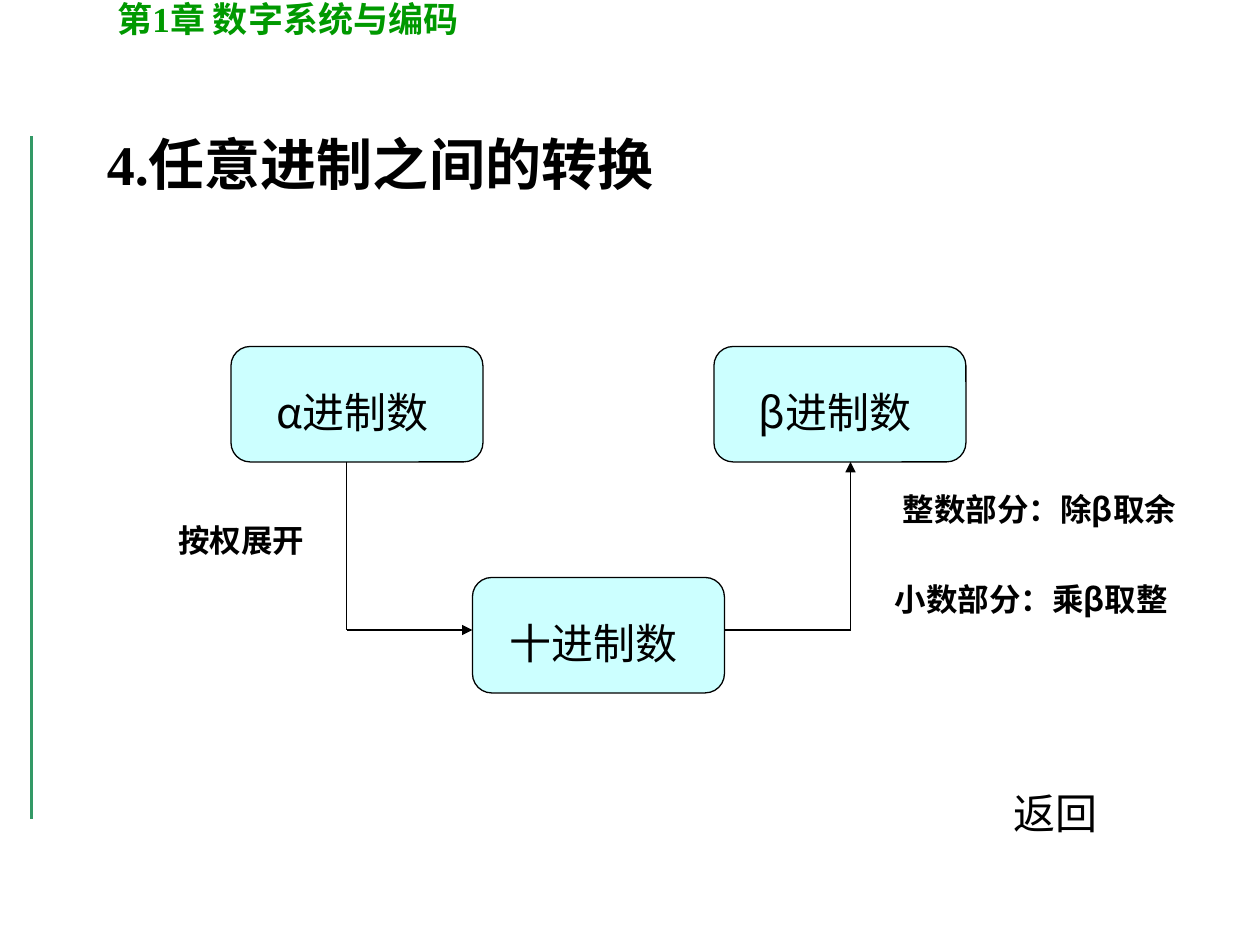
from pptx import Presentation
from pptx.dml.color import RGBColor
from pptx.enum.shapes import MSO_CONNECTOR, MSO_SHAPE
from pptx.enum.text import MSO_ANCHOR, PP_ALIGN
from pptx.oxml.ns import qn
from pptx.util import Emu, Pt
from lxml.etree import SubElement

PX = 9525  # EMU per px, 96 px to the inch
SERIF, SANS = "Times New Roman", "Noto Sans CJK SC"
BLACK, GREEN, RULE, CYAN = "000000", "009900", "339966", "CCFFFF"
BOX_W, BOX_H = 192, 88


def px(*lengths):
    return [Emu(n * PX) for n in lengths]


def rgb(value):
    return RGBColor.from_string(value)


def add_run(p, text, size, font=SERIF, color=BLACK, bold=False):
    r = p.add_run()
    r.text = text
    r.font.size, r.font.name, r.font.bold = Pt(size), font, bold
    r.font.color.rgb = rgb(color)
    SubElement(r.font._element, qn("a:ea")).set("typeface", SANS)


def format_paragraph(p, before, align=PP_ALIGN.CENTER, spacing=1.3):
    p.alignment, p.line_spacing, p.space_before = align, spacing, Pt(before)
    return p


def add_text(s, x, y, w, h, anchor=MSO_ANCHOR.TOP):
    tf = s.shapes.add_textbox(*px(x, y, w, h)).text_frame
    tf.word_wrap, tf.vertical_anchor = True, anchor
    return tf


def add_heading(s, text, size, color, before, *box, anchor=MSO_ANCHOR.TOP):
    p = add_text(s, *box, anchor=anchor).paragraphs[0]
    format_paragraph(p, before, PP_ALIGN.LEFT, 1.0)
    add_run(p, text, size, color=color, bold=True)


def add_box(s, x, y, text):
    sp = s.shapes.add_shape(MSO_SHAPE.ROUNDED_RECTANGLE, *px(x, y, BOX_W, BOX_H))
    sp.shadow.inherit = False
    sp.fill.solid()
    sp.fill.fore_color.rgb = rgb(CYAN)
    sp.line.color.rgb = rgb(BLACK)
    sp.line.width = Pt(0.75)
    tf = sp.text_frame
    tf.word_wrap, tf.vertical_anchor = False, MSO_ANCHOR.MIDDLE
    add_run(format_paragraph(tf.paragraphs[0], 6), text, 24, SANS)


def add_line(s, x1, y1, x2, y2, color=BLACK, width=0.75, arrow=False):
    line = s.shapes.add_connector(MSO_CONNECTOR.STRAIGHT, *px(x1, y1, x2, y2))
    line.line.color.rgb = rgb(color)
    line.line.width = Pt(width)
    if arrow:
        SubElement(line.line._get_or_add_ln(), qn("a:tailEnd")).set("type", "triangle")
    SubElement(line._element.spPr, qn("a:effectLst"))


def add_diagram(s):
    # Source and target on top, decimal in between below
    top, low = 264, 440
    alpha_x, decimal_x, beta_x = 176, 360, 544
    for x, y, text in ((alpha_x, top, "α进制数 "), (beta_x, top, "β进制数 "),
                       (decimal_x, low, "十进制数 ")):
        add_box(s, x, y, text)

    # Elbow arrows, each of two straight lines
    down_x, up_x, turn_y = 264, 648, 480
    add_line(s, down_x, top + BOX_H, down_x, turn_y)
    add_line(s, down_x, turn_y, decimal_x, turn_y, arrow=True)
    add_line(s, decimal_x + BOX_W, turn_y, up_x, turn_y)
    add_line(s, up_x, turn_y, up_x, top + BOX_H, arrow=True)


def add_labels(s):
    # Expansion by weights
    p = format_paragraph(add_text(s, 112, 384, 144, 47).paragraphs[0], 11.2)
    add_run(p, "按权展开", 18, bold=True)

    # Integer and fraction rules
    tf = add_text(s, 656, 360, 272, 117)
    p = format_paragraph(tf.paragraphs[0], 11.2)
    add_run(p, "整数部分：除β取余", 18, SANS, bold=True)
    p = format_paragraph(tf.add_paragraph(), 15)
    add_run(p, "小数部分：乘β取整 ", 18, SANS, bold=True)
    add_run(p, " ", 24, bold=True)

    # Return label
    p = format_paragraph(add_text(s, 752, 584, 104, 60).paragraphs[0], 15)
    add_run(p, "返回", 24)


def main():
    prs = Presentation()
    prs.slide_width, prs.slide_height = px(960, 720)
    s = prs.slides.add_slide(prs.slide_layouts[6])

    # Side rule and headings
    add_line(s, 24, 104, 24, 624, RULE, 2.25)
    add_heading(s, "第1章 数字系统与编码", 20, GREEN, 12.5, 80, -7, 552, 42)
    add_heading(s, "4.任意进制之间的转换", 32, BLACK, 0, 72, 64, 816, 120,
                anchor=MSO_ANCHOR.MIDDLE)

    add_diagram(s)
    add_labels(s)
    prs.save("out.pptx")


if __name__ == "__main__":
    main()
